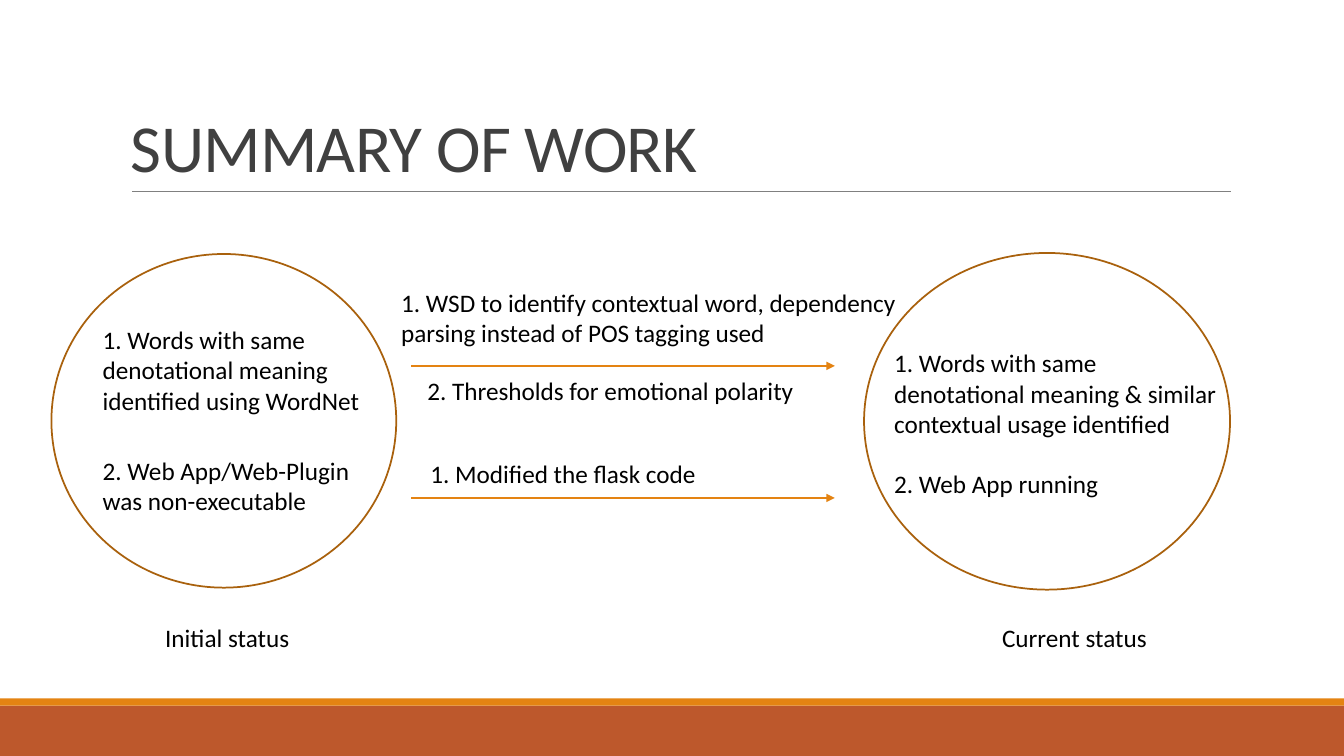
from dataclasses import dataclass

from lxml import etree
from pptx import Presentation
from pptx.dml.color import RGBColor
from pptx.enum.shapes import MSO_CONNECTOR as Connector, MSO_SHAPE as Shape
from pptx.enum.text import MSO_ANCHOR as Anchor, MSO_AUTO_SIZE as AutoSize
from pptx.oxml.ns import qn
from pptx.util import Inches, Pt


@dataclass(frozen=True)
class Theme:
    font: str = "Calibri"
    title_size: float = 48
    body_size: float = 18
    title: str = "404040"
    body: str = "000000"
    rule: str = "808080"
    accent: str = "E48312"
    footer: str = "BD582C"
    outline: str = "A9610D"


class SlideBuilder:
    def __init__(self, slide, theme):
        self.shapes = slide.shapes
        self.theme = theme

    def bar(self, top, height, color):
        bar = self.shapes.add_shape(
            Shape.RECTANGLE, 0, Inches(top), Inches(13.33), Inches(height))
        bar.shadow.inherit = False
        bar.fill.solid()
        bar.fill.fore_color.rgb = RGBColor.from_string(color)
        bar.line.fill.background()

    def circle(self, left, top, width, height):
        circle = self.shapes.add_shape(
            Shape.OVAL, Inches(left), Inches(top), Inches(width), Inches(height))
        circle.shadow.inherit = False
        circle.fill.background()
        circle.line.color.rgb = RGBColor.from_string(self.theme.outline)
        circle.line.width = Pt(1.25)

    def line(self, start, end, y, color, width, arrow=False):
        line = self.shapes.add_connector(
            Connector.STRAIGHT, Inches(start), Inches(y), Inches(end), Inches(y))
        line.line.color.rgb = RGBColor.from_string(color)
        line.line.width = Pt(width)
        if arrow:
            outline = line.line._get_or_add_ln()
            etree.SubElement(outline, qn("a:tailEnd"), type="triangle")
        etree.SubElement(line._element.spPr, qn("a:effectLst"))

    def text(self, words, left, top, width, height, size=None, color=None):
        box = self.shapes.add_textbox(
            Inches(left), Inches(top), Inches(width), Inches(height))
        frame = box.text_frame
        frame.word_wrap = True
        frame.auto_size = AutoSize.SHAPE_TO_FIT_TEXT
        span = frame.paragraphs[0].add_run()
        span.text = words
        span.font.name = self.theme.font
        span.font.size = Pt(size or self.theme.body_size)
        span.font.color.rgb = RGBColor.from_string(color or self.theme.body)
        return frame

    def title(self, words, left, top, width, height):
        frame = self.text(words, left, top, width, height,
                          self.theme.title_size, self.theme.title)
        frame.auto_size = AutoSize.NONE
        frame.vertical_anchor = Anchor.BOTTOM
        para = frame.paragraphs[0]
        para.line_spacing = 0.85
        para.runs[0].font._element.set("spc", "-50")


def main():
    deck = Presentation()
    deck.slide_width, deck.slide_height = Inches(13.33), Inches(7.5)
    theme = Theme()
    page = SlideBuilder(deck.slides.add_slide(deck.slide_layouts[6]), theme)

    # Footer bands and title
    page.bar(7, 0.5, theme.footer)
    page.bar(6.93, 0.07, theme.accent)
    page.line(1.31, 12.21, 1.9, theme.rule, 0.5)
    page.title("SUMMARY OF WORK", 1.2, 0.31, 11, 1.59)

    # Circles for the two states
    page.circle(0.51, 2.52, 3.42, 3.31)
    page.circle(8.57, 2.51, 3.63, 3.34)

    # Arrows for the changes between them
    for y in (3.63, 4.94):
        page.line(4.08, 8.28, y, theme.accent, 1, arrow=True)

    # Initial state, changes, current state, captions
    notes = [
        ("1. Words with same denotational meaning identified using WordNet",
         0.92, 3.17, 3.15, 1.01),
        ("2. Web App/Web-Plugin was non-executable", 0.92, 4.47, 3, 0.71),
        ("1. WSD to identify contextual word, dependency parsing instead of "
         "POS tagging used", 3.88, 2.8, 5.38, 0.71),
        ("2. Thresholds for emotional polarity", 4.14, 3.67, 4.06, 0.4),
        ("1. Modified the flask code", 4.17, 4.5, 4.06, 0.4),
        ("1. Words with same denotational meaning & similar contextual usage "
         "identified", 8.77, 3.4, 3.42, 1.01),
        ("2. Web App running", 8.77, 4.6, 3, 0.4),
        ("Initial status", 1.54, 6.12, 2.54, 0.4),
        ("Current status", 9.84, 6.12, 2.54, 0.4),
    ]
    for note in notes:
        page.text(*note)

    deck.save("out.pptx")


if __name__ == "__main__":
    main()
